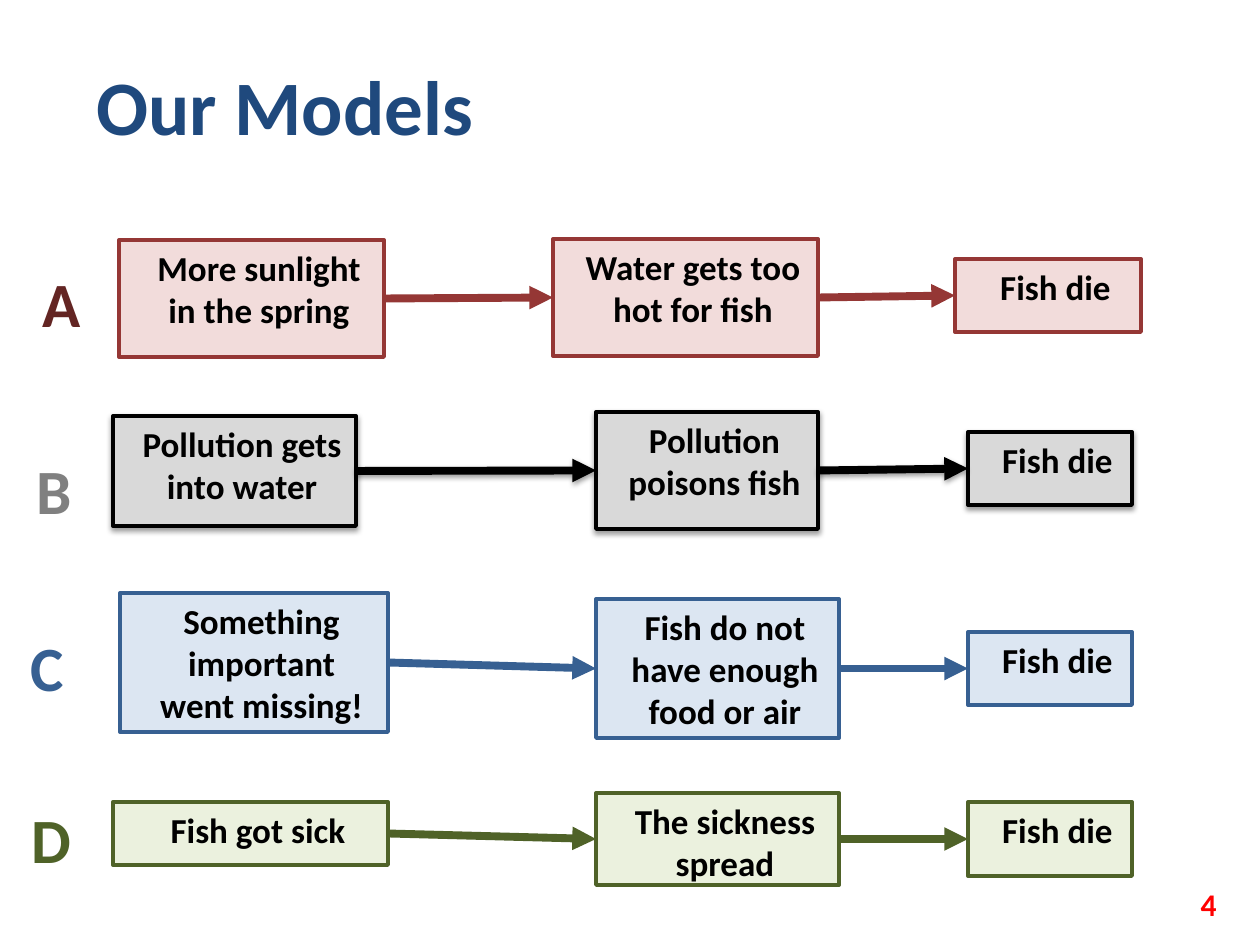
from lxml.etree import SubElement
from pptx import Presentation
from pptx.dml.color import RGBColor
from pptx.enum.shapes import MSO_CONNECTOR, MSO_SHAPE
from pptx.enum.text import MSO_ANCHOR, MSO_AUTO_SIZE, PP_ALIGN
from pptx.oxml.ns import qn
from pptx.util import Emu, Pt

COLORS = {
    "title": "1F497D", "number": "FF0000", "text": "000000",
    "red": "953735", "red fill": "F2DCDB", "red letter": "632523",
    "black": "000000", "black fill": "D9D9D9", "black letter": "808080",
    "blue": "376092", "blue fill": "DCE6F2", "blue letter": "376092",
    "green": "4F6228", "green fill": "EBF1DE", "green letter": "4F6228",
}
FONT = "Calibri"
TITLE = ("Our Models", (84, 52, 406, 106))
NUMBER = ("4", (935, 879, 294, 50))
LETTER_SIZE = (64, 89)
MODELS = [
    {"letter": "A", "at": (30, 258), "color": "red", "shadow": False, "steps": [
        ("More sunlight in the spring", (119, 240, 265, 117)),
        ("Water gets too hot for fish", (553, 239, 265, 117)),
        ("Fish die", (955, 259, 186, 73))]},
    {"letter": "B", "at": (24, 445), "color": "black", "shadow": True, "steps": [
        ("Pollution gets into water", (113, 416, 243, 110)),
        ("Pollution poisons fish", (596, 412, 222, 117)),
        ("Fish die", (968, 432, 164, 73))]},
    {"letter": "C", "at": (18, 622), "color": "blue", "shadow": False, "steps": [
        ("Something important went missing!", (120, 593, 268, 139)),
        ("Fish do not have enough food or air", (596, 599, 243, 139)),
        ("Fish die", (968, 632, 164, 73))]},
    {"letter": "D", "at": (19, 794), "color": "green", "shadow": False, "steps": [
        ("Fish got sick", (113, 802, 275, 63)),
        ("The sickness spread", (596, 793, 243, 92)),
        ("Fish die", (968, 802, 164, 74))]},
]


def px(value):
    return Emu(round(value * 914400 / 126))


def rgb(name):
    return RGBColor.from_string(COLORS[name])


def write(shape, text, size, color, align=PP_ALIGN.LEFT, anchor=MSO_ANCHOR.TOP):
    frame = shape.text_frame
    frame.text = text
    frame.word_wrap = True
    frame.vertical_anchor = anchor
    para = frame.paragraphs[0]
    para.alignment = align
    para.font.name = FONT
    para.font.size = Pt(size)
    para.font.bold = True
    para.font.color.rgb = rgb(color)
    return para


def add_label(page, text, bounds, size, color, **layout):
    label = page.shapes.add_textbox(*map(px, bounds))
    write(label, text, size, color, **layout)
    return label


def set_shadow(shape, visible):
    effects = SubElement(shape._element.spPr, qn("a:effectLst"))
    if visible:
        shadow = SubElement(effects, qn("a:outerShdw"), blurRad=str(Pt(3.1)),
                            dist=str(Pt(1.6)), dir="5400000", rotWithShape="0")
        color = SubElement(shadow, qn("a:srgbClr"), val=COLORS["black"])
        SubElement(color, qn("a:alpha"), val="38000")


def add_step(page, text, bounds, color, shadow):
    box = page.shapes.add_shape(MSO_SHAPE.RECTANGLE, *map(px, bounds))
    box.fill.solid()
    box.fill.fore_color.rgb = rgb(color + " fill")
    box.line.color.rgb = rgb(color)
    box.line.width = Pt(2.25)
    set_shadow(box, shadow)
    para = write(box, text, 20, "text", PP_ALIGN.CENTER)
    para.space_before = Pt(7.5)
    properties = para._p.get_or_add_pPr()
    properties.set("marL", str(px(15)))
    properties.set("indent", "0")
    return box


def add_arrow(page, source, target, color, shadow):
    arrow = page.shapes.add_connector(MSO_CONNECTOR.STRAIGHT, 0, 0, 0, 0)
    arrow.begin_connect(source, 3)
    arrow.end_connect(target, 1)
    arrow.line.color.rgb = rgb(color)
    arrow.line.width = Pt(4.5)
    SubElement(arrow.line._get_or_add_ln(), qn("a:tailEnd"), type="triangle")
    set_shadow(arrow, shadow)


def add_model(page, model):
    style = model["color"], model["shadow"]
    boxes = [add_step(page, text, bounds, *style) for text, bounds in model["steps"]]
    for source, target in zip(boxes, boxes[1:]):
        add_arrow(page, source, target, *style)
    letter = add_label(page, model["letter"], model["at"] + LETTER_SIZE, 36,
                       model["color"] + " letter")
    letter.text_frame.auto_size = MSO_AUTO_SIZE.SHAPE_TO_FIT_TEXT


def main():
    deck = Presentation()
    deck.slide_width, deck.slide_height = px(1260), px(945)
    page = deck.slides.add_slide(deck.slide_layouts[5])

    title = page.shapes.title
    text, bounds = TITLE
    title.left, title.top, title.width, title.height = map(px, bounds)
    write(title, text, 44, "title")
    title.text_frame.word_wrap = False
    title.text_frame.auto_size = MSO_AUTO_SIZE.SHAPE_TO_FIT_TEXT

    add_label(page, *NUMBER, 18, "number", align=PP_ALIGN.RIGHT, anchor=MSO_ANCHOR.MIDDLE)
    for model in MODELS:
        add_model(page, model)
    deck.save("out.pptx")


if __name__ == "__main__":
    main()
